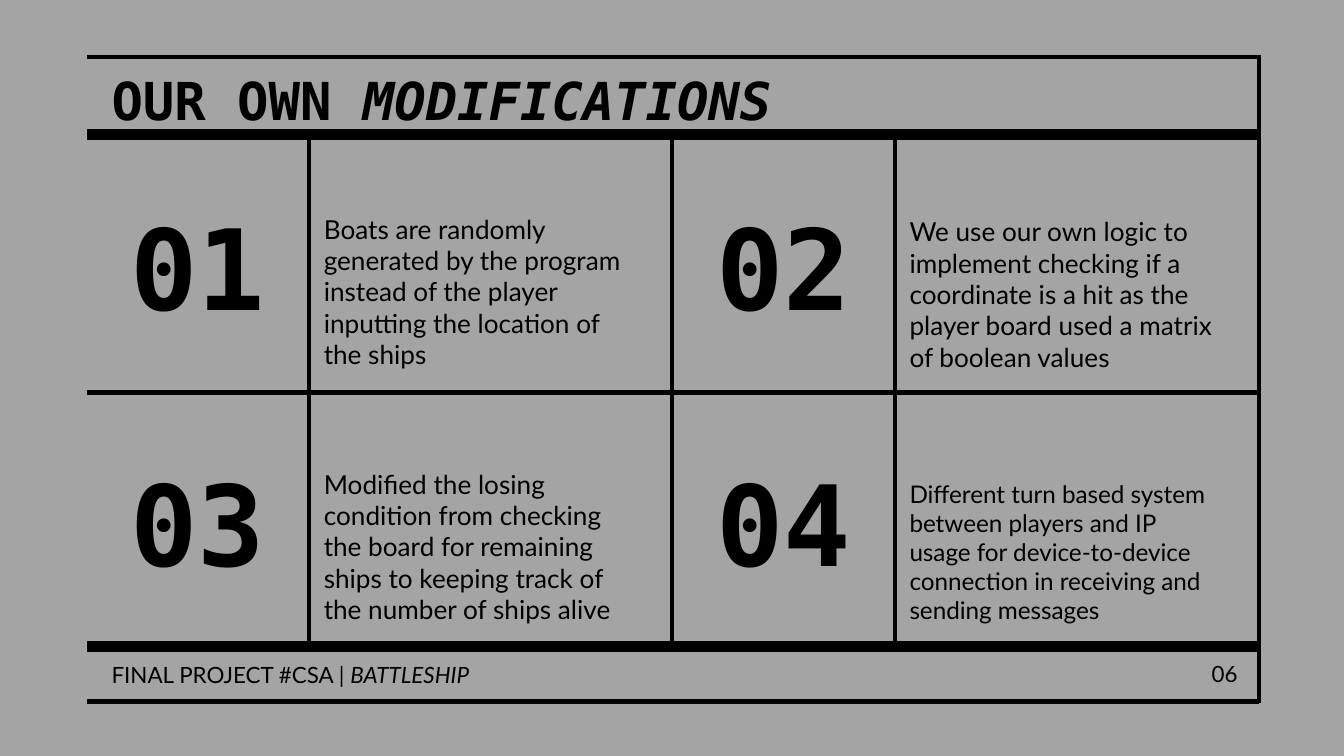
"""Build the slide that lists four modifications in a ruled two-by-two grid."""
from lxml import etree
from pptx import Presentation
from pptx.dml.color import RGBColor
from pptx.enum.shapes import MSO_CONNECTOR
from pptx.enum.text import MSO_ANCHOR, PP_ALIGN
from pptx.oxml.ns import qn
from pptx.util import Cm, Pt

STRAIGHT = MSO_CONNECTOR.STRAIGHT
TOP, MIDDLE, BOTTOM = MSO_ANCHOR.TOP, MSO_ANCHOR.MIDDLE, MSO_ANCHOR.BOTTOM
LEFT, CENTER, RIGHT = PP_ALIGN.LEFT, PP_ALIGN.CENTER, PP_ALIGN.RIGHT
BLACK = RGBColor(0x00, 0x00, 0x00)
GRAY = RGBColor(0xA5, 0xA4, 0xA4)
MONO, SANS = "DejaVu Sans Mono", "Lato"
THIN, THICK = 2.25, 6

TITLE = ("OUR OWN ", "MODIFICATIONS")
FOOTER = ("FINAL PROJECT #CSA | ", "BATTLESHIP")
PAGE_NUMBER = "06"

# text, size, bottom edge, height
MODIFICATIONS = [
    ("Boats are randomly generated by the program instead of the player "
     "inputting the location of the ships", 14, 6.99, 4.04),
    ("We use our own logic to implement checking if a coordinate is a hit "
     "as the player board used a matrix of boolean values", 14, 7.04, 4.04),
    ("Modified the losing condition from checking the board for remaining "
     "ships to keeping track of the number of ships alive", 14, 11.81, 1.8),
    ("Different turn based system between players and IP usage for "
     "device-to-device connection in receiving and sending messages", 13, 11.81, 4.04),
]

FRAME_LEFT, FRAME_RIGHT = 1.65, 23.8
FRAME_TOP, FRAME_BOTTOM = 1.07, 13.26
GRID_TOP, GRID_MIDDLE, GRID_BOTTOM = 2.54, 7.42, 12.22
COLUMN_STEP, ROW_STEP = 11.07, 4.83
TEXT_LEFT, FOOTER_TOP, FOOTER_HEIGHT = 2.01, 12.5, 0.48

HORIZONTAL_RULES = [(FRAME_TOP, THIN), (GRID_TOP, THICK), (GRID_MIDDLE, THIN),
                    (GRID_BOTTOM, THICK), (FRAME_BOTTOM, THIN)]
VERTICAL_RULES = [(5.84, GRID_TOP, GRID_BOTTOM), (12.7, GRID_TOP, GRID_BOTTOM),
                  (5.84 + COLUMN_STEP, GRID_TOP, GRID_BOTTOM),
                  (FRAME_RIGHT, 1.04, 13.28)]


def add_rule(page, left, top, right, bottom, weight):
    rule = page.shapes.add_connector(STRAIGHT, Cm(left), Cm(top), Cm(right), Cm(bottom))
    rule.line.color.rgb = BLACK
    rule.line.width = Pt(weight)
    etree.SubElement(rule.element.spPr, qn("a:effectLst"))


def add_text(page, spans, place, font, size, bold=False, align=LEFT, anchor=TOP,
             insets=(0.1, 0), space_after=0):
    box = page.shapes.add_textbox(*[Cm(length) for length in place])
    frame = box.text_frame
    frame.word_wrap = True
    frame.vertical_anchor = anchor
    frame.margin_left = frame.margin_right = Cm(insets[0])
    frame.margin_top = frame.margin_bottom = Cm(insets[1])
    para = frame.paragraphs[0]
    para.alignment = align
    para.space_after = Pt(space_after)
    for index, words in enumerate(spans):
        span = para.add_run()
        span.text = words
        span.font.name = font
        span.font.size = Pt(size)
        span.font.bold = bold
        span.font.italic = index > 0
        span.font.color.rgb = BLACK


def main():
    deck = Presentation()
    deck.slide_width, deck.slide_height = Cm(25.4), Cm(14.29)
    page = deck.slides.add_slide(deck.slide_layouts[6])
    page.background.fill.solid()
    page.background.fill.fore_color.rgb = GRAY

    for top, weight in HORIZONTAL_RULES:
        add_rule(page, FRAME_LEFT, top, FRAME_RIGHT, top, weight)
    for left, top, bottom in VERTICAL_RULES:
        add_rule(page, left, top, left, bottom, THIN)

    add_text(page, TITLE, (TEXT_LEFT, 1.3, 21.41, 1.32), MONO, 28, bold=True)
    for index, (words, size, bottom, height) in enumerate(MODIFICATIONS):
        row, column = divmod(index, 2)
        shift = column * COLUMN_STEP
        add_text(page, [f"{index + 1:02}"], (2.29 + shift, 3.68 + row * ROW_STEP, 2.9, 2.62),
                 MONO, 60, bold=True, align=CENTER, anchor=BOTTOM)
        add_text(page, [words], (6.02 + shift, bottom - height, 6.07, height),
                 SANS, size, anchor=BOTTOM, space_after=12)
    add_text(page, FOOTER, (TEXT_LEFT, FOOTER_TOP, 20.45, FOOTER_HEIGHT), SANS, 12)
    add_text(page, [PAGE_NUMBER], (22.12, FOOTER_TOP, 1.52, FOOTER_HEIGHT), SANS, 12,
             align=RIGHT, anchor=MIDDLE, insets=(0.25, 0.25))
    deck.save("out.pptx")


if __name__ == "__main__":
    main()
